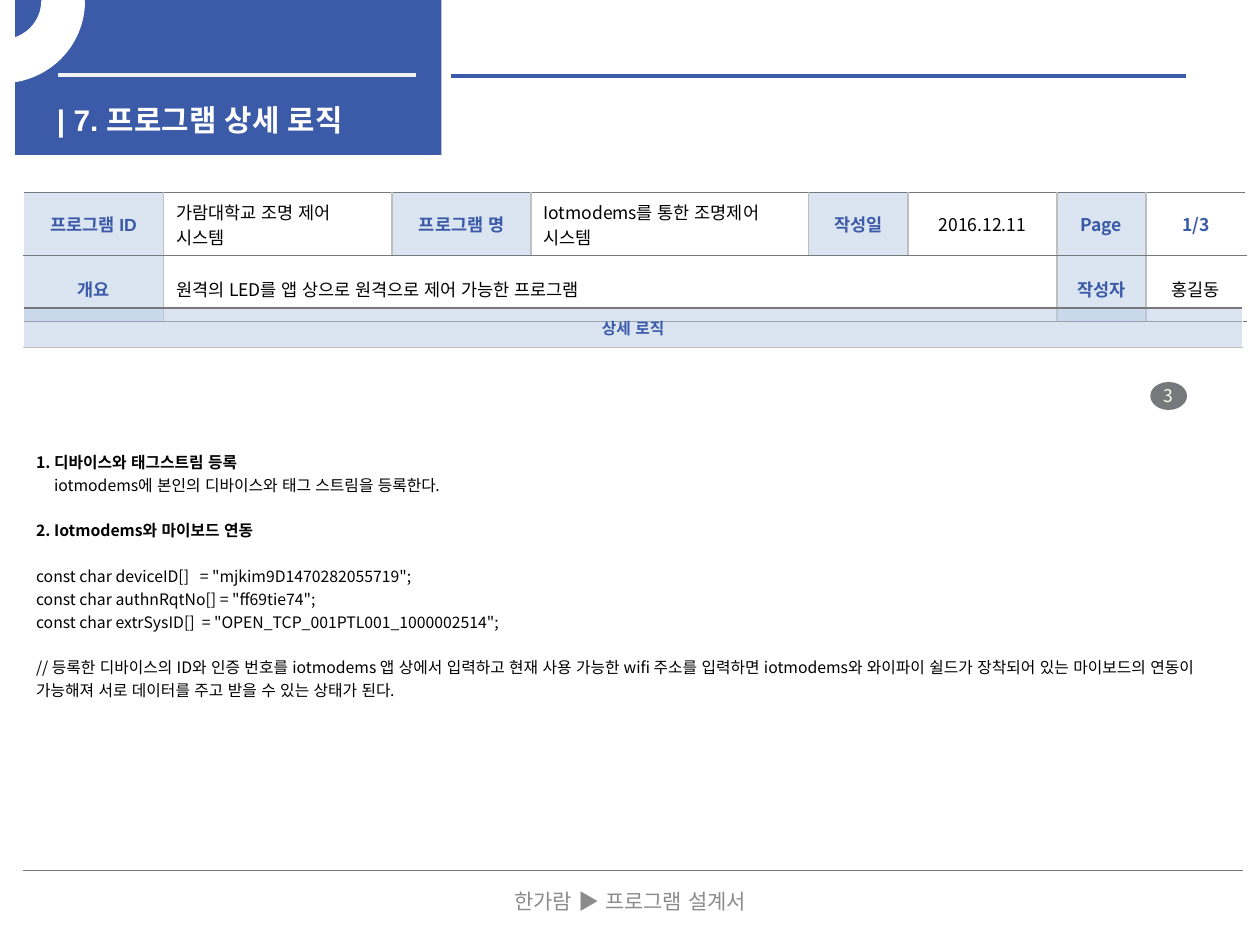
import lxml.etree
import pptx
import pptx.dml.color
import pptx.enum.lang
import pptx.enum.shapes
import pptx.enum.text
import pptx.oxml.ns
import pptx.util

Pt = pptx.util.Pt
RGB = pptx.dml.color.RGBColor.from_string
Align = pptx.enum.text.PP_ALIGN
Anchor = pptx.enum.text.MSO_ANCHOR
Shape = pptx.enum.shapes.MSO_SHAPE
Line = pptx.enum.shapes.MSO_CONNECTOR.STRAIGHT
Lang = pptx.enum.lang.MSO_LANGUAGE_ID
qn = pptx.oxml.ns.qn
add = lxml.etree.SubElement

theme = {
    "blue": "3B5AA8", "pale": "B9CDE5", "gray": "77787B", "rule": "BFBFBF",
    "white": "FFFFFF", "light": "F2F2F2", "cream": "FFFFE9", "black": "000000",
    "muted": "8C8C8C", "sans": "Arial", "font": "Noto Sans CJK KR",
    "title": 17, "foot": 12, "label": 10, "body": 9,
}


def write(frame, text, size="label", color="black", bold=False, align=Align.LEFT,
          face="font", before=0, indent=0, fresh=True):
    para = frame.paragraphs[0] if fresh else frame.add_paragraph()
    para.alignment = align
    para.space_before = Pt(before)
    if indent:
        para._p.get_or_add_pPr().set("marL", str(Pt(indent)))
    run = para.add_run()
    run.text = text
    run.font.size = Pt(theme[size])
    run.font.bold = bold
    run.font.color.rgb = RGB(theme[color])
    run.font.name = theme[face]
    run.font.language_id = Lang.KOREAN
    add(run._r.get_or_add_rPr(), qn("a:ea"), typeface=theme["font"])


def style(cell, edges, fill=None):
    cell.vertical_anchor = Anchor.MIDDLE
    props = cell._tc.get_or_add_tcPr()
    for side, color in zip("LRTB", edges):
        line = add(props, qn("a:ln" + side), w=str(Pt(1)))
        paint = add(line, qn("a:solidFill"))
        add(paint, qn("a:srgbClr"), val=theme[color])
    if fill is None:
        cell.fill.background()
        return
    cell.fill.solid()
    cell.fill.fore_color.rgb = RGB(theme[fill])
    tint = props.find(qn("a:solidFill")).find(qn("a:srgbClr"))
    add(tint, qn("a:alpha"), val="50000")


deck = pptx.Presentation()
deck.slide_width, deck.slide_height = Pt(720), Pt(540)
slide = deck.slides.add_slide(deck.slide_layouts[6])
shapes = slide.shapes

heads = [
    ["프로그램 ID", "가람대학교 조명 제어 시스템", "프로그램 명", "Iotmodems를 통한 조명제어 시스템",
     "작성일", "2016.12.11", "Page", "1/3"],
    ["개요", "원격의 LED를 앱 상으로 원격으로 제어 가능한 프로그램", "", "", "", "", "작성자", "홍길동"],
]
widths = [80, 130.5, 79.5, 158.5, 57, 85, 51, 57]
grid = shapes.add_table(2, 8, Pt(13.5), Pt(110), Pt(sum(widths)), Pt(60)).table
grid.first_row = grid.horz_banding = False
for col, width in zip(grid.columns, widths):
    col.width = Pt(width)
for row, height in zip(grid.rows, [22.3, 37.8]):
    row.height = Pt(height)
grid.cell(1, 1).merge(grid.cell(1, 5))
for r, texts in enumerate(heads):
    for c, text in enumerate(texts):
        cell = grid.cell(r, c)
        label = c % 2 == 0 and text != ""
        fill = "pale" if label else "white" if text == "2016.12.11" else None
        style(cell, ["rule" if c else "white", "rule" if c < 7 else "white", "gray", "gray"], fill)
        if text:
            write(cell.text_frame, text,
                  color="blue" if label or text == "1/3" else "black",
                  bold=label or text == "1/3",
                  align=Align.LEFT if c in (1, 3) else Align.CENTER,
                  face="font" if c else "sans")

logic = shapes.add_table(2, 1, Pt(13.4), Pt(176), Pt(696.6), Pt(322)).table
logic.first_row = logic.horz_banding = False
logic.columns[0].width = Pt(696.6)
logic.rows[0].height, logic.rows[1].height = Pt(22.5), Pt(299)
head, body = logic.cell(0, 0), logic.cell(1, 0)
style(head, ["white", "white", "gray", "rule"], "pale")
style(body, ["white", "white", "rule", "gray"])
write(head.text_frame, "상세 로직", size="body", color="blue", bold=True, align=Align.CENTER)
gap = 13
body.margin_bottom = Pt(41.6)
steps = [
    ("1. 디바이스와 태그스트림 등록", True, 0, 0),
    ("iotmodems에 본인의 디바이스와 태그 스트림을 등록한다.", False, 0, 10.3),
    ("2. Iotmodems와 마이보드 연동", True, gap, 0),
    ('const char deviceID[]   = "mjkim9D1470282055719";', False, gap, 0),
    ('const char authnRqtNo[] = "ff69tie74";', False, 0, 0),
    ('const char extrSysID[]  = "OPEN_TCP_001PTL001_1000002514";', False, 0, 0),
    ("// 등록한 디바이스의 ID와 인증 번호를 iotmodems 앱 상에서 입력하고 현재 사용 가능한 wifi 주소를 "
     "입력하면 iotmodems와 와이파이 쉴드가 장착되어 있는 마이보드의 연동이 가능해져 서로 데이터를 "
     "주고 받을 수 있는 상태가 된다.", False, gap, 0),
]
for i, (text, bold, before, indent) in enumerate(steps):
    write(body.text_frame, text, size="body", bold=bold, before=before,
          indent=indent, fresh=i == 0)

forms = []
for kind, box, color in [
    (Shape.OVAL, (657.3, 218.3, 21, 16), "gray"),
    (Shape.RECTANGLE, (8.6, 0, 243.7, 88.5), "blue"),
    (Shape.BLOCK_ARC, (-45.4, -45.4, 93, 92), "white"),
]:
    form = shapes.add_shape(kind, *map(Pt, box))
    form.shadow.inherit = False
    form.fill.solid()
    form.fill.fore_color.rgb = RGB(theme[color])
    form.line.fill.background()
    forms.append(form)
badge, panel, ring = forms
frame = badge.text_frame
frame.word_wrap = False
frame.vertical_anchor = Anchor.MIDDLE
frame.margin_left = frame.margin_right = frame.margin_top = frame.margin_bottom = Pt(4.3)
write(frame, "3", color="cream", align=Align.CENTER)
ring.line.color.rgb = RGB(theme["white"])
ring.line.width = Pt(2)
ring.adjustments[0] = 161.59 * 0.6
ring.adjustments[1] = 0
ring.adjustments[2] = 0.25
ring._element.spPr.find(qn("a:xfrm")).set("flipV", "1")

for left, right, top, color in [(33.2, 237.6, 42.7, "light"), (257.8, 677.6, 43.4, "blue")]:
    rule = shapes.add_connector(Line, Pt(left), Pt(top), Pt(right), Pt(top))
    rule.line.color.rgb = RGB(theme[color])
    rule.line.width = Pt(2.25)
    add(rule._element.spPr, qn("a:effectLst"))

for text, box, anchor, look in [
    ("| 7. 프로그램 상세 로직", (25.5, 54.7, 221, 23), Anchor.TOP,
     dict(size="title", color="white", bold=True, face="sans")),
    ("한가람 ▶ 프로그램 설계서", (246.2, 500.4, 228, 28.8), Anchor.MIDDLE,
     dict(size="foot", color="muted", align=Align.CENTER)),
]:
    frame = shapes.add_textbox(*map(Pt, box)).text_frame
    frame.word_wrap = True
    frame.vertical_anchor = anchor
    write(frame, text, **look)

deck.save("out.pptx")
